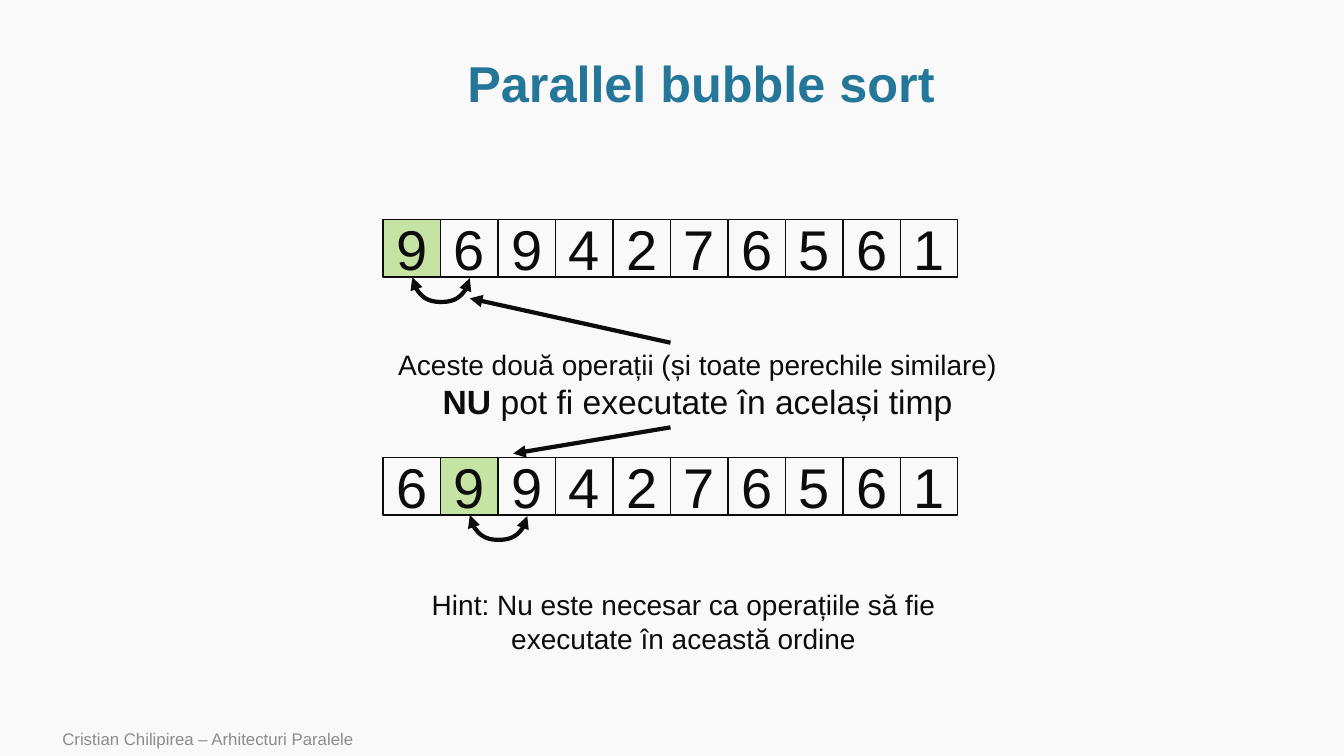
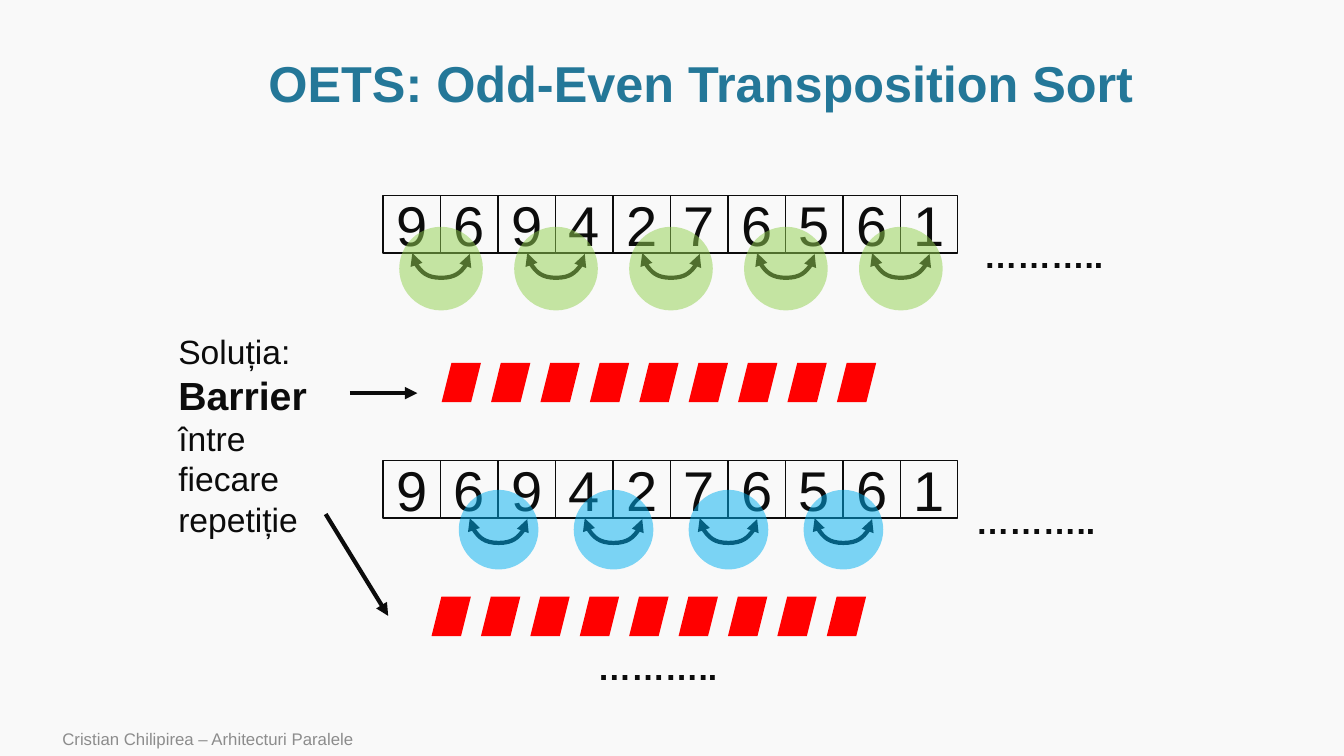
from dataclasses import dataclass
from typing import Optional

from lxml.etree import SubElement
from pptx import Presentation
from pptx.dml.color import RGBColor
from pptx.enum.shapes import MSO_CONNECTOR, MSO_SHAPE
from pptx.enum.text import MSO_ANCHOR, MSO_AUTO_SIZE, PP_ALIGN
from pptx.oxml.ns import qn
from pptx.util import Emu, Pt


@dataclass(frozen=True)
class Theme:
    font: str = "Arial"
    paper: str = "F9F9F9"
    ink: str = "0C0C0C"
    title: str = "247798"
    muted: str = "8C8C8C"
    green: str = "92D050"
    blue: str = "00B0F0"
    red: str = "FF0000"
    title_pt: int = 36
    digit_pt: int = 40
    strong_pt: int = 28
    large_pt: int = 24
    body_pt: int = 20
    footer_pt: int = 12
    thin_pt: int = 1
    arrow_pt: int = 3


@dataclass(frozen=True)
class Box:
    x: int
    y: int
    w: int
    h: int


@dataclass(frozen=True)
class Run:
    text: str
    size: int
    bold: bool = False
    color: Optional[str] = None


@dataclass(frozen=True)
class Row:
    """A row of digits, with swaps named by the index of their left cell."""
    y: int
    digits: str
    swaps: tuple[int, ...]
    marked: Optional[int] = None

    @property
    def bottom(self) -> int:
        return self.y + CELL


@dataclass(frozen=True)
class Arrow:
    x1: int
    y1: int
    x2: int
    y2: int


T = Theme()
PX = 9144  # EMU in one px, 100 px to the inch
CELL, ROW_X = 57, 380
ARC_DEPTH = 25
BAR, BAR_STEP, BAR_COUNT = 39, 49, 9
DOTS = "……….."
FOOTER = "Cristian Chilipirea – Arhitecturi Paralele"


def px(n: int) -> Emu:
    return Emu(n * PX)


def rgb(color: str) -> RGBColor:
    return RGBColor.from_string(color)


# Text
def write(tf, paragraphs: list[list[Run]], align=PP_ALIGN.LEFT) -> None:
    for i, runs in enumerate(paragraphs):
        p = tf.paragraphs[0] if i == 0 else tf.add_paragraph()
        p.alignment = align
        for run in runs:
            r = p.add_run()
            r.text = run.text
            r.font.name = T.font
            r.font.size = Pt(run.size)
            r.font.bold = run.bold
            r.font.color.rgb = rgb(run.color or T.ink)


def add_text(s, box: Box, paragraphs: list[list[Run]], align=PP_ALIGN.LEFT,
             wrap: bool = True, grow: bool = True):
    tf = s.shapes.add_textbox(px(box.x), px(box.y), px(box.w), px(box.h)).text_frame
    tf.word_wrap = wrap
    if grow:
        tf.auto_size = MSO_AUTO_SIZE.SHAPE_TO_FIT_TEXT
    else:
        tf.vertical_anchor = MSO_ANCHOR.MIDDLE
    write(tf, paragraphs, align)
    return tf


def add_dots(s, x: int, y: int) -> None:
    add_text(s, Box(x, y, 140, 50), [[Run(DOTS, T.large_pt, True)]], wrap=False)


# Shapes
def add_shape(s, kind, box: Box, fill: Optional[str] = None,
              alpha: int = 100, line: Optional[str] = None):
    sp = s.shapes.add_shape(kind, px(box.x), px(box.y), px(box.w), px(box.h))
    sp.shadow.inherit = False
    if fill:
        sp.fill.solid()
        sp.fill.fore_color.rgb = rgb(fill)
        if alpha < 100:
            clr = sp.element.spPr.find(qn("a:solidFill"))[0]
            SubElement(clr, qn("a:alpha")).set("val", str(alpha * 1000))
    else:
        sp.fill.background()
    if line:
        sp.line.color.rgb = rgb(line)
        sp.line.width = Pt(T.thin_pt)
    else:
        sp.line.fill.background()
    return sp


def add_line(s, kind, a: Arrow, ends: tuple[str, ...]):
    c = s.shapes.add_connector(kind, px(a.x1), px(a.y1), px(a.x2), px(a.y2))
    c.line.color.rgb = rgb(T.ink)
    c.line.width = Pt(T.arrow_pt)
    spPr = c.element.spPr
    for end in ends:
        SubElement(spPr.find(qn("a:ln")), qn(end)).set("type", "triangle")
    SubElement(spPr, qn("a:effectLst"))
    return c


def add_arrow(s, a: Arrow) -> None:
    add_line(s, MSO_CONNECTOR.STRAIGHT, a, ("a:tailEnd",))


def swap_x(left_cell: int) -> int:
    """The border between the two swapped cells."""
    return ROW_X + (left_cell + 1) * CELL


def add_swap(s, x: int, y: int) -> None:
    """A double arrow hanging below y: a one px wide curve turned by 270 degrees."""
    top = y - CELL // 2
    c = add_line(s, MSO_CONNECTOR.CURVE, Arrow(x + 1, top, x, top + CELL),
                 ("a:headEnd", "a:tailEnd"))
    spPr = c.element.spPr
    spPr.find(qn("a:xfrm")).set("rot", str(270 * 60000))
    gd = SubElement(spPr.find(qn("a:prstGeom")).find(qn("a:avLst")), qn("a:gd"))
    gd.set("name", "adj1")
    gd.set("fmla", f"val {ARC_DEPTH * 100000}")


def add_row(s, row: Row) -> None:
    for i, digit in enumerate(row.digits):
        fill = T.green if i == row.marked else None
        sp = add_shape(s, MSO_SHAPE.RECTANGLE,
                       Box(ROW_X + i * CELL, row.y, CELL, CELL), fill, 50, T.ink)
        sp.text_frame.vertical_anchor = MSO_ANCHOR.MIDDLE
        write(sp.text_frame, [[Run(digit, T.digit_pt)]], PP_ALIGN.CENTER)
    for left_cell in row.swaps:
        add_swap(s, swap_x(left_cell), row.bottom)


def add_halos(s, row: Row, size: int, drop: int, color: str) -> None:
    for left_cell in row.swaps:
        add_shape(s, MSO_SHAPE.OVAL,
                  Box(swap_x(left_cell) - size // 2, row.bottom - drop, size, size),
                  color, 51)


def add_barrier(s, x: int, y: int) -> None:
    for i in range(BAR_COUNT):
        add_shape(s, MSO_SHAPE.PARALLELOGRAM,
                  Box(x + i * BAR_STEP, y, BAR, BAR), T.red)


# Slides
def add_slide(prs, title: str):
    s = prs.slides.add_slide(prs.slide_layouts[6])
    tf = add_text(s, Box(114, 51, 1163, 69),
                  [[Run(title, T.title_pt, True, T.title)]], PP_ALIGN.CENTER, grow=False)
    tf.paragraphs[0].line_spacing = 0.9
    add_text(s, Box(52, 716, 840, 34),
             [[Run(FOOTER, T.footer_pt, color=T.muted)]], grow=False)
    return s


def bubble_sort_slide(prs) -> None:
    s = add_slide(prs, "Parallel bubble sort")
    for row in (Row(218, "9694276561", (0,), 0), Row(454, "6994276561", (1,), 1)):
        add_row(s, row)
    for a in (Arrow(665, 340, 466, 296), Arrow(665, 424, 509, 450)):
        add_arrow(s, a)
    add_text(s, Box(409, 578, 538, 77), [[
        Run("Hint: Nu este necesar ca operațiile să fie executate în această ordine",
            T.body_pt)]], PP_ALIGN.CENTER)
    add_text(s, Box(371, 340, 642, 84), [[
        Run("Aceste două operații (și toate perechile similare) ", T.body_pt),
        Run("NU ", T.large_pt, True),
        Run("pot fi executate în același timp", T.large_pt)]], PP_ALIGN.CENTER)


def odd_even_slide(prs) -> None:
    s = add_slide(prs, "OETS: Odd-Even Transposition Sort")
    odd = Row(194, "9694276561", (0, 2, 4, 6, 8))
    even = Row(457, "9694276561", (1, 3, 5, 7))
    for row in (odd, even):
        add_row(s, row)
    add_halos(s, odd, 83, 26, T.green)
    add_halos(s, even, 79, 28, T.blue)
    for x, y in ((438, 360), (428, 592)):
        add_barrier(s, x, y)
    for x, y in ((966, 228), (958, 492), (583, 637)):
        add_dots(s, x, y)
    # Solution note and its arrows to the barriers
    add_text(s, Box(167, 323, 189, 219), [
        [Run("Soluția:", T.large_pt)],
        [Run("Barrier", T.strong_pt, True),
         Run(" între fiecare repetiție", T.large_pt)]])
    for a in (Arrow(347, 390, 414, 390), Arrow(323, 510, 385, 611)):
        add_arrow(s, a)


def main() -> None:
    prs = Presentation()
    prs.slide_width, prs.slide_height = px(1333), px(750)
    fill = prs.slide_master.background.fill
    fill.solid()
    fill.fore_color.rgb = rgb(T.paper)
    bubble_sort_slide(prs)
    odd_even_slide(prs)
    prs.save("out.pptx")


if __name__ == "__main__":
    main()
